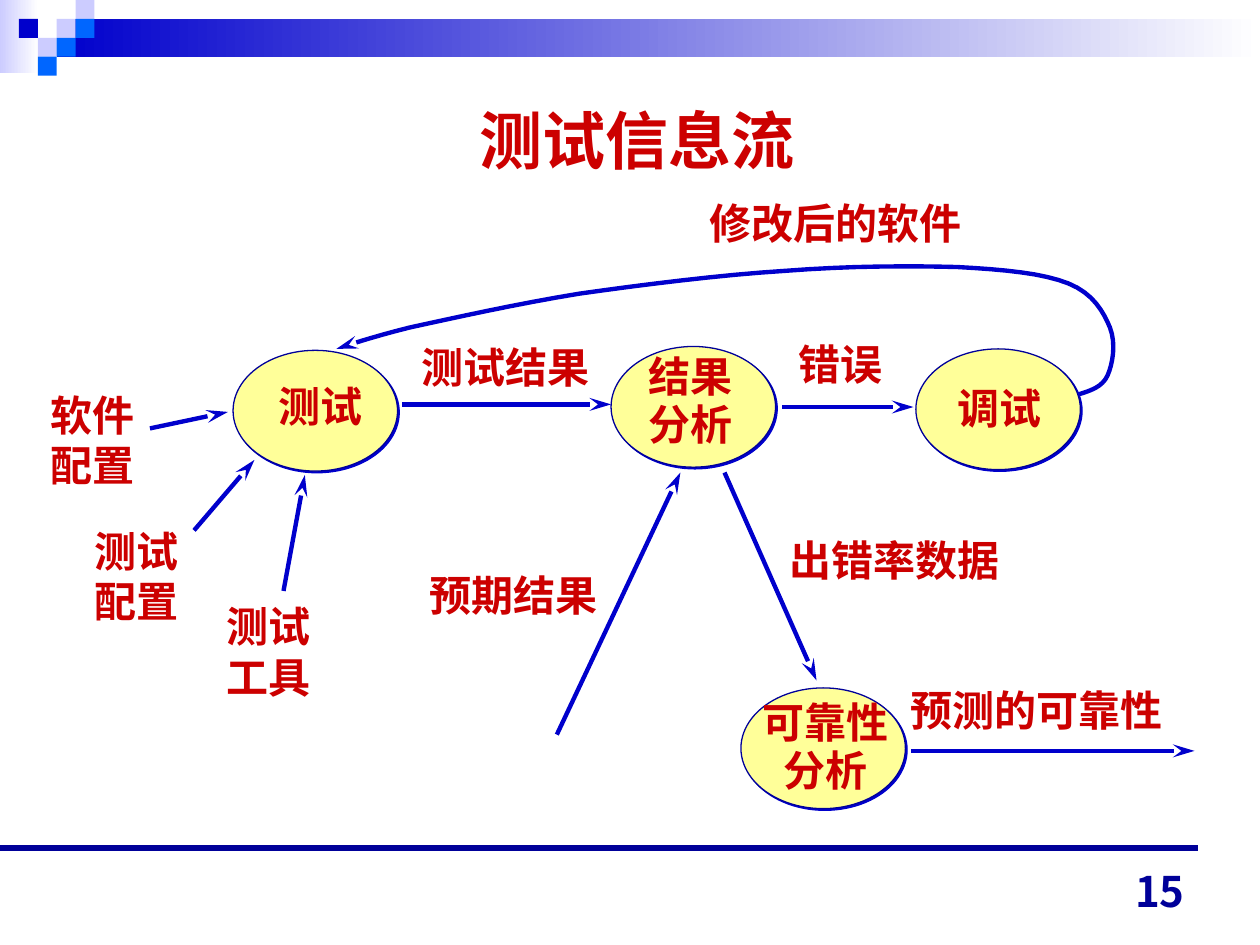
from pptx import Presentation
from pptx.dml.color import RGBColor
from pptx.enum.shapes import MSO_CONNECTOR, MSO_SHAPE
from pptx.enum.text import MSO_ANCHOR, MSO_AUTO_SIZE, PP_ALIGN
from pptx.oxml import parse_xml
from pptx.oxml.ns import nsdecls
from pptx.util import Pt

RECT, OVAL = MSO_SHAPE.RECTANGLE, MSO_SHAPE.OVAL
LINE = MSO_CONNECTOR.STRAIGHT
LEFT, MID, RIGHT = PP_ALIGN.LEFT, PP_ALIGN.CENTER, PP_ALIGN.RIGHT
CENTER, BOTTOM = MSO_ANCHOR.MIDDLE, MSO_ANCHOR.BOTTOM
GROW = MSO_AUTO_SIZE.SHAPE_TO_FIT_TEXT

RED = RGBColor(0xCC, 0x00, 0x00)
BLUE = RGBColor(0x00, 0x00, 0xCC)
NAVY = RGBColor(0x00, 0x00, 0x99)
SKY = RGBColor(0x00, 0x66, 0xFF)
PALE = RGBColor(0xCC, 0xCC, 0xFF)
CREAM = RGBColor(0xFF, 0xFF, 0x99)
WHITE = RGBColor(0xFF, 0xFF, 0xFF)

SIZE = 24
BASE = {"name": "Times New Roman", "size": Pt(SIZE), "bold": True}


def write(frame, text, color=RED, align=LEFT, space=None, **extra):
    frame.text = text
    for para in frame.paragraphs:
        para.alignment = align
        para.line_spacing = space
        for key, value in {**BASE, **extra}.items():
            setattr(para.font, key, value)
        para.font.color.rgb = color


def stroke(shape, color, width, arrow=False):
    shape.line.color.rgb = color
    shape.line.width = Pt(width)
    if arrow:
        shape.line._get_or_add_ln().append(parse_xml(
            f'<a:tailEnd {nsdecls("a")} type="stealth" len="lg"/>'))
    shape._element.spPr.append(parse_xml(f'<a:effectLst {nsdecls("a")}/>'))


deck = Presentation()
deck.slide_width, deck.slide_height = Pt(720), Pt(540)
slide = deck.slides.add_slide(deck.slide_layouts[5])
shapes = slide.shapes

# Fading bands at the top
for x, y, w, h, start, end in [(0, 0, 22, 42, PALE, WHITE),
                               (32.4, 10.8, 687.6, 21.6, BLUE, WHITE)]:
    band = shapes.add_shape(RECT, Pt(x), Pt(y), Pt(w), Pt(h))
    band.shadow.inherit = False
    band.line.fill.background()
    band.fill.gradient()
    band.fill.gradient_angle = 0
    for stop, color in zip(band.fill.gradient_stops, (start, end)):
        stop.color.rgb = color

# Mosaic of squares on a grid of columns and rows
STEP = 10.8
for col, row, color in [(3, 1, PALE), (4, 0, PALE), (4, 1, SKY), (2, 2, PALE),
                        (1, 1, BLUE), (3, 2, SKY), (2, 3, SKY)]:
    tile = shapes.add_shape(RECT, Pt(col * STEP), Pt(row * STEP),
                            Pt(STEP), Pt(STEP))
    tile.shadow.inherit = False
    tile.line.fill.background()
    tile.fill.solid()
    tile.fill.fore_color.rgb = color

# Rule above the page number
rule = shapes.add_connector(LINE, Pt(0), Pt(484.6), Pt(684.7), Pt(484.6))
stroke(rule, NAVY, 3.25)

# Title
title = shapes.title
title.left, title.top, title.width, title.height = Pt(40), Pt(47), Pt(648), Pt(65)
title.text_frame.vertical_anchor = CENTER
write(title.text_frame, "测试信息流", align=MID, size=Pt(36))

# Process ovals with a hard shadow
for x, y in [(423.4, 393.1), (133.2, 200.2), (349.2, 198), (523.4, 199.4)]:
    oval = shapes.add_shape(OVAL, Pt(x), Pt(y), Pt(94), Pt(69))
    oval.fill.solid()
    oval.fill.fore_color.rgb = CREAM
    stroke(oval, NAVY, 0.75)
    oval._element.spPr[-1].append(parse_xml(
        f'<a:outerShdw {nsdecls("a")} dist="17780" dir="2700000" algn="ctr" '
        f'rotWithShape="0"><a:srgbClr val="{BLUE}"/></a:outerShdw>'))

# Arrows
for x1, y1, x2, y2 in [
        (85.7, 244.8, 130.3, 235.4), (110.9, 303.1, 145.4, 262.8),
        (162, 337.7, 174.2, 271.4), (229.7, 231.1, 349.2, 231.1),
        (318.2, 419.8, 388.8, 270), (414, 270, 466.6, 388.8),
        (447.1, 232.6, 522, 232.6), (520.6, 429.1, 682.6, 429.1)]:
    arrow = shapes.add_connector(LINE, Pt(x1), Pt(y1), Pt(x2), Pt(y2))
    stroke(arrow, BLUE, 2.5, arrow=True)

# Feedback loop: cubic curves, each as two controls and an end point
START = (616.3, 225.4)
CURVES = [
    ((623.5, 223.2), (630, 221), (632.9, 214.6)),
    ((635.8, 208.1), (637.9, 196.6), (634.3, 187.2)),
    ((630.7, 178.6), (625, 167.8), (610.6, 162)),
    ((596.2, 156.2), (574.6, 154.1), (547.2, 152.6)),
    ((520.6, 151.9), (484.6, 151.9), (448.6, 154.8)),
    ((412.6, 157), (367.2, 162.7), (331.2, 167.8)),
    ((295.9, 173.5), (257, 182.2), (234, 187.2)),
    ((211, 193), (198.7, 197.3), (192.2, 199.4)),
]
PARTS = 8
points, last = [], START
for one, two, end in CURVES:
    for part in range(1, PARTS + 1):
        t = part / PARTS
        u = 1 - t
        points.append(tuple(
            Pt(u**3 * a + 3 * u * u * t * b + 3 * u * t * t * c + t**3 * d)
            for a, b, c, d in zip(last, one, two, end)))
    last = end
pen = shapes.build_freeform(Pt(START[0]), Pt(START[1]))
pen.add_line_segments(points, close=False)
loop = pen.convert_to_shape()
loop.fill.background()
stroke(loop, BLUE, 2.5, arrow=True)

# Labels: text, place, alignment, line spacing, fill; the text sets the size
PAD, LEAD = 15, 29
for text, x, y, align, space, fill in [
        ("可靠性\n分析", 428.4, 396.7, MID, 0.95, None),
        ("测试", 151.9, 213.8, LEFT, None, None),
        ("结果\n分析", 363.6, 198.7, LEFT, 0.95, None),
        ("调试", 540, 215.3, LEFT, None, None),
        ("预测的可靠性", 513.4, 387.4, LEFT, None, None),
        ("修改后的软件", 398.2, 109.4, LEFT, None, None),
        ("软件\n配置", 21.6, 218.9, LEFT, None, WHITE),
        ("测试\n配置", 46.8, 296.6, LEFT, None, WHITE),
        ("测试\n工具", 122.4, 339.8, LEFT, None, WHITE),
        ("测试结果", 234, 191.5, LEFT, None, None),
        ("预期结果", 238.3, 321.8, LEFT, None, None),
        ("错误", 449.3, 190.1, LEFT, None, None),
        ("出错率数据", 444.2, 301.7, LEFT, None, None)]:
    rows = text.split("\n")
    wide = max(len(row) for row in rows) * SIZE + PAD
    high = len(rows) * LEAD * (space or 1) + 7
    label = shapes.add_textbox(Pt(x), Pt(y), Pt(wide), Pt(high))
    label.text_frame.word_wrap = False
    label.text_frame.auto_size = GROW
    write(label.text_frame, text, align=align, space=space)
    if fill is not None:
        label.fill.solid()
        label.fill.fore_color.rgb = fill

# Page number
page = shapes.add_textbox(Pt(516.2), Pt(491), Pt(167.8), Pt(36))
page.text_frame.word_wrap = True
page.text_frame.vertical_anchor = BOTTOM
write(page.text_frame, "15", NAVY, RIGHT, name="Noto Sans CJK JP")

deck.save("out.pptx")
